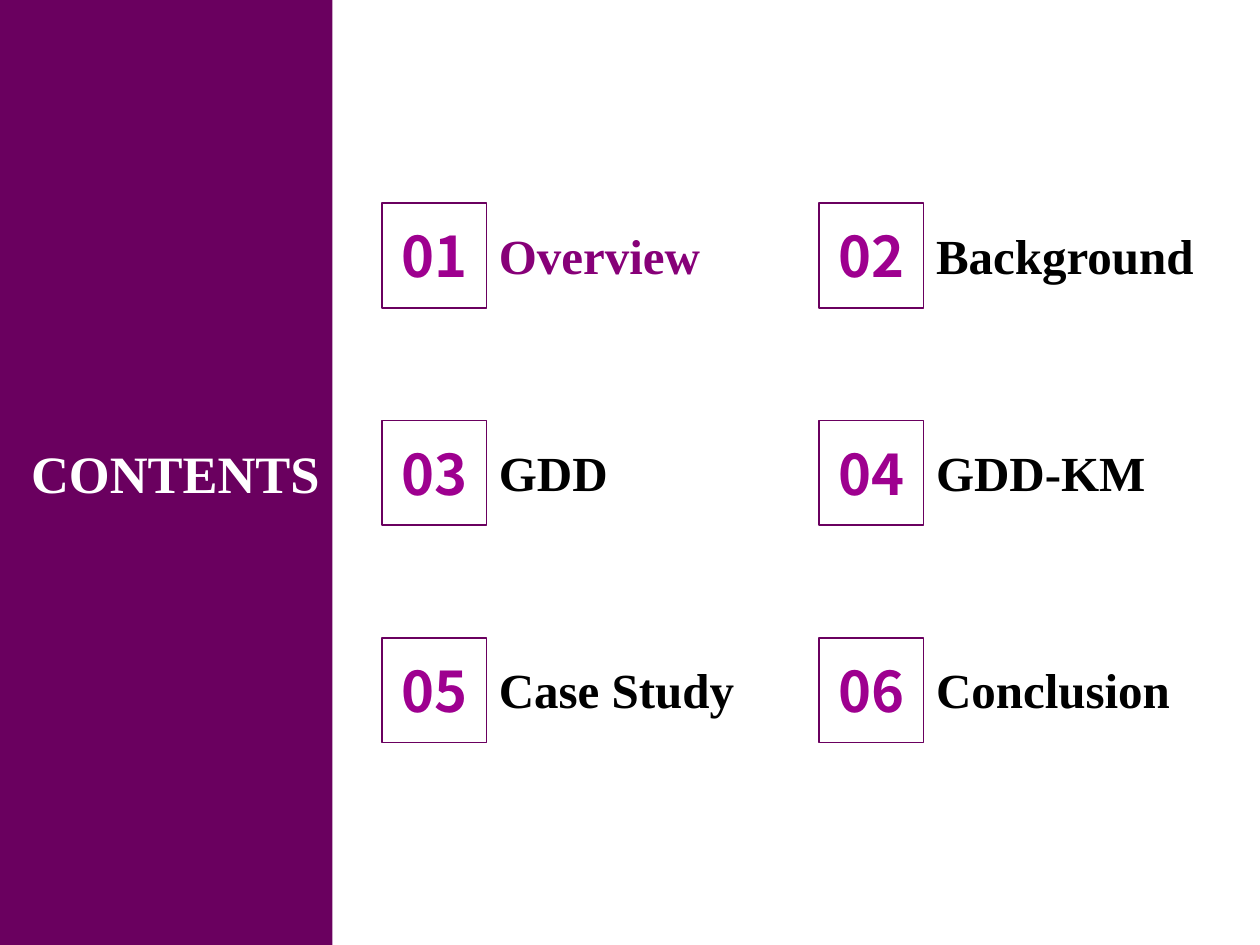
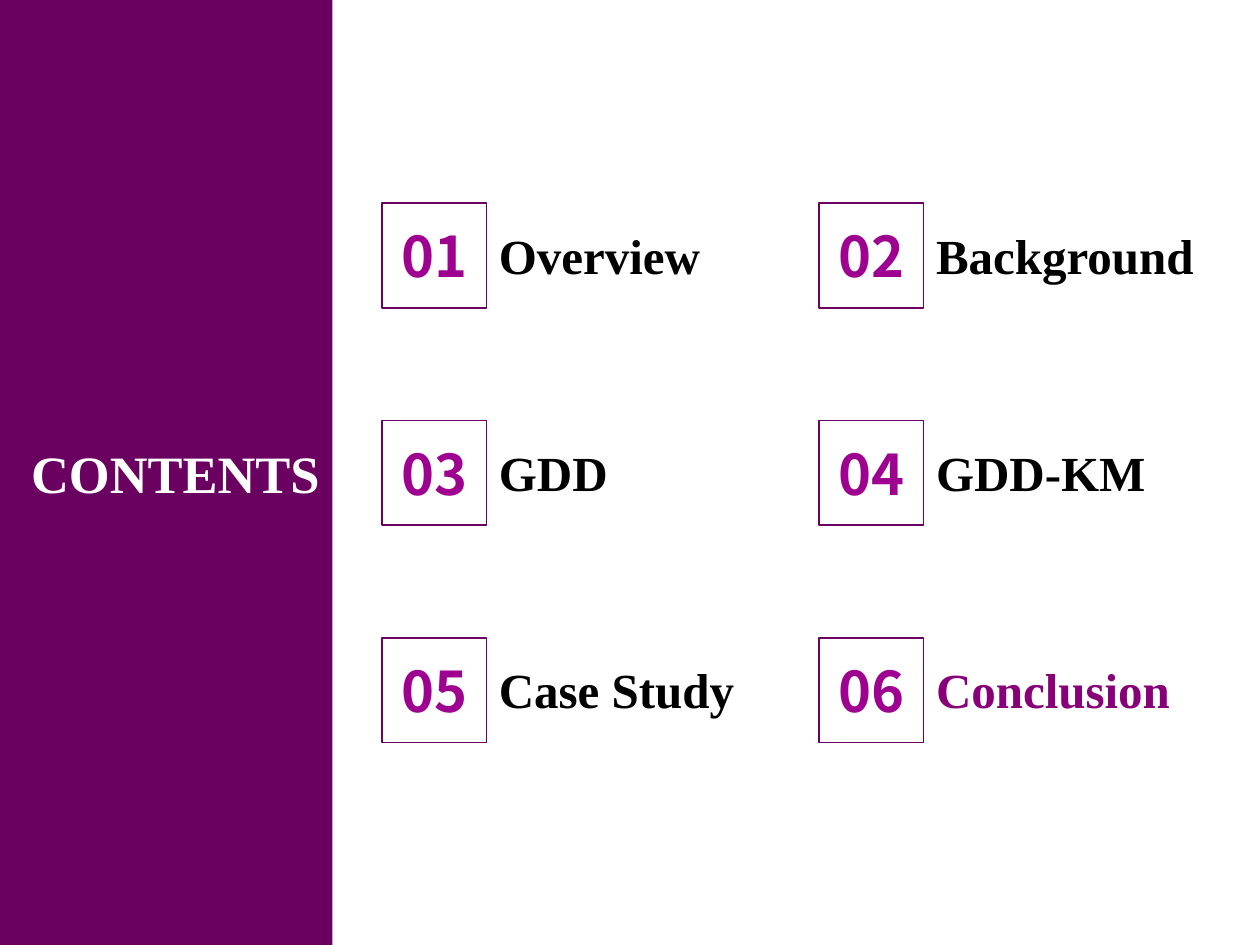
import dataclasses

import pptx
import pptx.dml.color
import pptx.enum.shapes
import pptx.enum.text
import pptx.util

Pt = pptx.util.Pt
RGB = pptx.dml.color.RGBColor.from_string
ALIGN = pptx.enum.text.PP_ALIGN
ANCHOR = pptx.enum.text.MSO_ANCHOR
RECTANGLE = pptx.enum.shapes.MSO_SHAPE.RECTANGLE


@dataclasses.dataclass(frozen=True)
class Theme:
    band: str = "6A005F"
    number: str = "9E008F"
    current: str = "870078"
    text: str = "000000"
    on_band: str = "FFFFFF"
    serif: str = "Times New Roman"
    sans: str = "Noto Sans CJK SC"
    title_size: int = 30
    number_size: int = 32
    label_size: int = 28


theme = Theme()


def put_text(sp, text, size, color, font=theme.serif, align=ALIGN.LEFT, anchor=ANCHOR.TOP):
    tf = sp.text_frame
    tf.word_wrap = True
    tf.auto_size = pptx.enum.text.MSO_AUTO_SIZE.SHAPE_TO_FIT_TEXT
    tf.vertical_anchor = anchor
    p = tf.paragraphs[0]
    p.alignment = align
    r = p.add_run()
    r.text = text
    r.font.name = font
    r.font.size = Pt(size)
    r.font.bold = True
    r.font.color.rgb = RGB(color)


chapters = ["Overview", "Background", "GDD", "GDD-KM", "Case Study", "Conclusion"]
band_width = 190
left, top = 218.2, 116.1
column_pitch, row_pitch = 249.8, 124.2
box = 59.8
label_width, label_height, number_height = 162, 41.2, 46

prs = pptx.Presentation()
prs.slide_width, prs.slide_height = Pt(720), Pt(540)

for current in ("Overview", "Conclusion"):
    s = prs.slides.add_slide(prs.slide_layouts[5])
    title = s.shapes.title
    title.left, title.top = Pt(0), Pt(248.4)
    title.width, title.height = Pt(band_width), Pt(43.6)
    put_text(title, "CONTENTS", theme.title_size, theme.on_band, align=ALIGN.RIGHT)

    band = s.shapes.add_shape(RECTANGLE, Pt(0), Pt(0), Pt(band_width), prs.slide_height)
    band.shadow.inherit = False
    band.fill.solid()
    band.fill.fore_color.rgb = RGB(theme.band)
    band.line.fill.background()
    title.element.addprevious(band.element)

    for i, chapter in enumerate(chapters):
        row, column = divmod(i, 2)
        x = left + column * column_pitch
        y = top + row * row_pitch
        entry = s.shapes.add_group_shape().shapes

        label = entry.add_textbox(Pt(x + box), Pt(y + 9), Pt(label_width), Pt(label_height))
        color = theme.current if chapter == current else theme.text
        put_text(label, chapter, theme.label_size, color)

        number = entry.add_textbox(Pt(x), Pt(y + (box - number_height) / 2), Pt(box), Pt(number_height))
        put_text(number, f"{i + 1:02d}", theme.number_size, theme.number,
                 font=theme.sans, align=ALIGN.CENTER, anchor=ANCHOR.MIDDLE)

        frame = entry.add_shape(RECTANGLE, Pt(x), Pt(y), Pt(box), Pt(box))
        frame.shadow.inherit = False
        frame.fill.background()
        frame.line.color.rgb = RGB(theme.band)
        frame.line.width = Pt(1)

prs.save("out.pptx")
